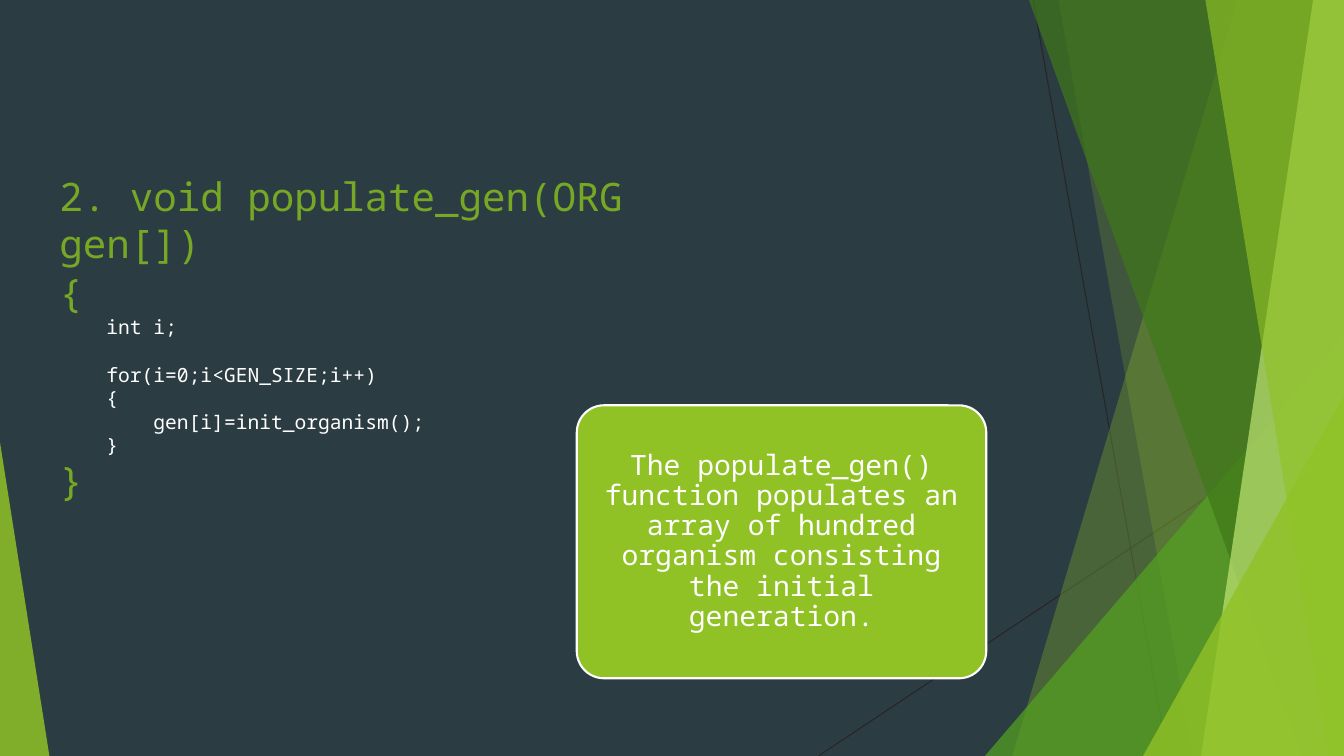
from dataclasses import dataclass

from lxml.etree import SubElement
from pptx import Presentation
from pptx.dml.color import RGBColor
from pptx.enum.shapes import MSO_CONNECTOR as Connector, MSO_SHAPE as Shape
from pptx.enum.text import MSO_ANCHOR as Anchor, MSO_AUTO_SIZE as AutoSize, PP_ALIGN as Align
from pptx.oxml.ns import qn
from pptx.util import Pt


@dataclass(frozen=True)
class Theme:
    """Colours, font and type sizes of the slide."""
    night: str = "2C3C43"
    heading: str = "77A825"
    lime: str = "90C226"
    pale: str = "C0E474"
    grass: str = "54A021"
    forest: str = "3F7819"
    thread: str = "262626"
    white: str = "FFFFFF"
    font: str = "Noto Sans Mono"
    heading_size: int = 28
    code_size: int = 14
    note_size: int = 20


THEME = Theme()
WIDTH, HEIGHT = 960, 540
CODE_LEFT, CODE_WIDTH = 35.3, 504.7
INDENT = 33.6


def rgb(colour):
    """Turn a hex string into a colour."""
    return RGBColor.from_string(colour)


def paint(shape, colour, opacity=100):
    """Fill a shape without outline or shadow at the given opacity."""
    shape.shadow.inherit = False
    shape.fill.solid()
    shape.fill.fore_color.rgb = rgb(colour)
    shape.line.fill.background()
    if opacity < 100:
        tint = shape.fill._xPr.find(qn("a:solidFill"))[0]
        SubElement(tint, qn("a:alpha")).set("val", str(opacity * 1000))


def add_thread(slide, start, end):
    """Draw a thin background line."""
    thread = slide.shapes.add_connector(Connector.STRAIGHT, *map(Pt, start + end))
    thread.line.color.rgb = rgb(THEME.thread)
    thread.line.width = Pt(0.75)
    SubElement(thread._element.spPr, qn("a:effectLst"))


def add_facet(slide, top_x, bottom_x, colour, opacity):
    """Draw a full-height facet that reaches the right edge."""
    outline = slide.shapes.build_freeform(Pt(top_x), 0, scale=1.0)
    corners = [(WIDTH, 0), (WIDTH, HEIGHT), (bottom_x, HEIGHT)]
    outline.add_line_segments([(Pt(x), Pt(y)) for x, y in corners], close=True)
    paint(outline.convert_to_shape(), colour, opacity)


def add_corner(slide, left, top, width, apex, colour, opacity):
    """Draw a triangle standing on the bottom edge."""
    corner = slide.shapes.add_shape(
        Shape.ISOSCELES_TRIANGLE, Pt(left), Pt(top), Pt(width), Pt(HEIGHT - top))
    corner.adjustments[0] = apex
    paint(corner, colour, opacity)


def write(paragraph, text, size, colour, align=Align.LEFT, indent=0, before=0):
    """Add one styled run to a paragraph."""
    paragraph.alignment = align
    paragraph.space_before = Pt(before)
    properties = paragraph._p.get_or_add_pPr()
    properties.set("marL", str(Pt(indent)))
    properties.set("indent", "0")
    run = paragraph.add_run()
    run.text = text
    run.font.name = THEME.font
    run.font.size = Pt(size)
    run.font.color.rgb = rgb(colour)


def place_title(slide, text, top, height):
    """Place the function signature in the title placeholder."""
    title = slide.shapes.title
    title.left, title.top = Pt(CODE_LEFT), Pt(top)
    title.width, title.height = Pt(CODE_WIDTH), Pt(height)
    frame = title.text_frame
    frame.auto_size = AutoSize.NONE
    frame.word_wrap = True
    frame.vertical_anchor = Anchor.TOP
    write(frame.paragraphs[0], text, THEME.heading_size, THEME.heading)


def add_code(slide, lines, top, height):
    """Write the function body, with its outer braces as large as the title."""
    body = slide.shapes.add_textbox(Pt(CODE_LEFT), Pt(top), Pt(CODE_WIDTH), Pt(height))
    frame = body.text_frame
    frame.word_wrap = True
    frame.margin_top = frame.margin_bottom = 0
    for number, (depth, text, before) in enumerate(lines):
        paragraph = frame.add_paragraph() if number else frame.paragraphs[0]
        size, colour = ((THEME.code_size, THEME.white) if depth
                        else (THEME.heading_size, THEME.heading))
        write(paragraph, text, size, colour, indent=depth * INDENT, before=before)


def add_note(slide, text, left, top, width, height):
    """Add the rounded explanation card."""
    note = slide.shapes.add_shape(
        Shape.ROUNDED_RECTANGLE, Pt(left), Pt(top), Pt(width), Pt(height))
    note.adjustments[0] = 0.1
    paint(note, THEME.lime)
    note.line.color.rgb = rgb(THEME.white)
    note.line.width = Pt(1.5)
    frame = note.text_frame
    frame.word_wrap = True
    frame.vertical_anchor = Anchor.MIDDLE
    frame.margin_left = frame.margin_right = Pt(6)
    frame.margin_top = frame.margin_bottom = Pt(6)
    paragraph = frame.paragraphs[0]
    write(paragraph, text, THEME.note_size, THEME.white, Align.CENTER)
    paragraph.line_spacing = 0.9


def add_backdrop(slide):
    """Draw the dark ground and the green facets."""
    slide.background.fill.solid()
    slide.background.fill.fore_color.rgb = rgb(THEME.night)
    add_thread(slide, (738, 0), (834, HEIGHT))
    add_thread(slide, (WIDTH, 290), (584.6, HEIGHT))
    add_facet(slide, 884, 723, THEME.lime, 30)
    add_facet(slide, 756, 852, THEME.lime, 20)
    add_corner(slide, 703.5, 240, 256.5, 1, THEME.grass, 72)
    add_facet(slide, 735, 929.5, THEME.forest, 70)
    add_facet(slide, 938, 858, THEME.pale, 70)
    add_facet(slide, 861, 949, THEME.lime, 65)
    add_corner(slide, 816.5, 283, 143.5, 1, THEME.lime, 80)
    add_corner(slide, 0, 316, 35.3, 0, THEME.lime, 85)


def main():
    """Build and save the slide."""
    deck = Presentation()
    deck.slide_width, deck.slide_height = Pt(WIDTH), Pt(HEIGHT)
    slide = deck.slides.add_slide(deck.slide_layouts[5])
    add_backdrop(slide)
    place_title(slide, "2. void populate_gen(ORG gen[])", 119.5, 72)
    add_code(slide, [
        (0, "{", 0),
        (1, "int i;", 0),
        (1, "for(i=0;i<GEN_SIZE;i++)", 17),
        (1, "{", 0),
        (2, "gen[i]=init_organism();", 0),
        (1, "}", 0),
        (0, "}", 0),
    ], 191.5, 170)
    add_note(slide, "The populate_gen() function populates an array of hundred "
             "organism consisting the initial generation.", 412, 289.5, 292.5, 195)
    deck.save("out.pptx")


if __name__ == "__main__":
    main()
